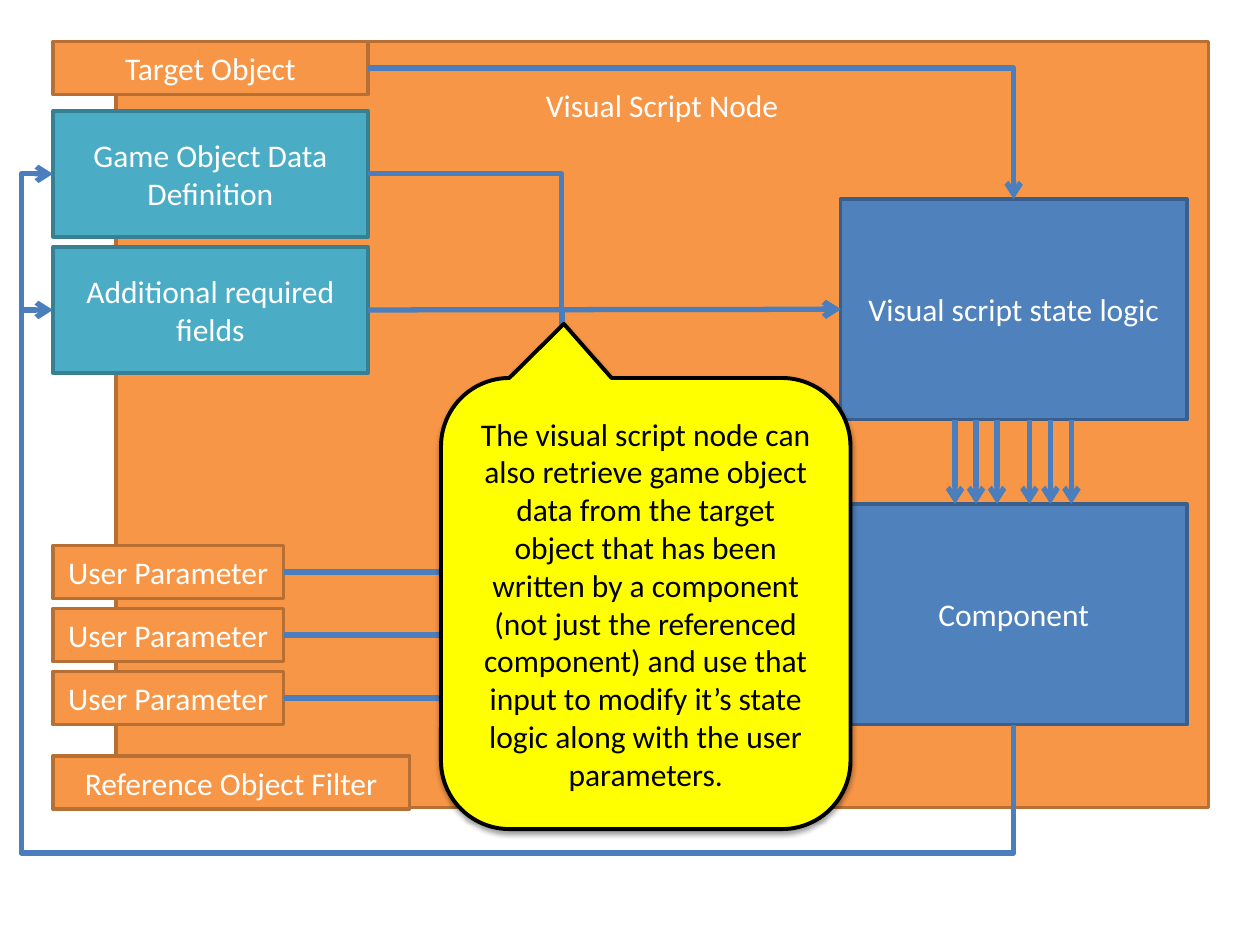
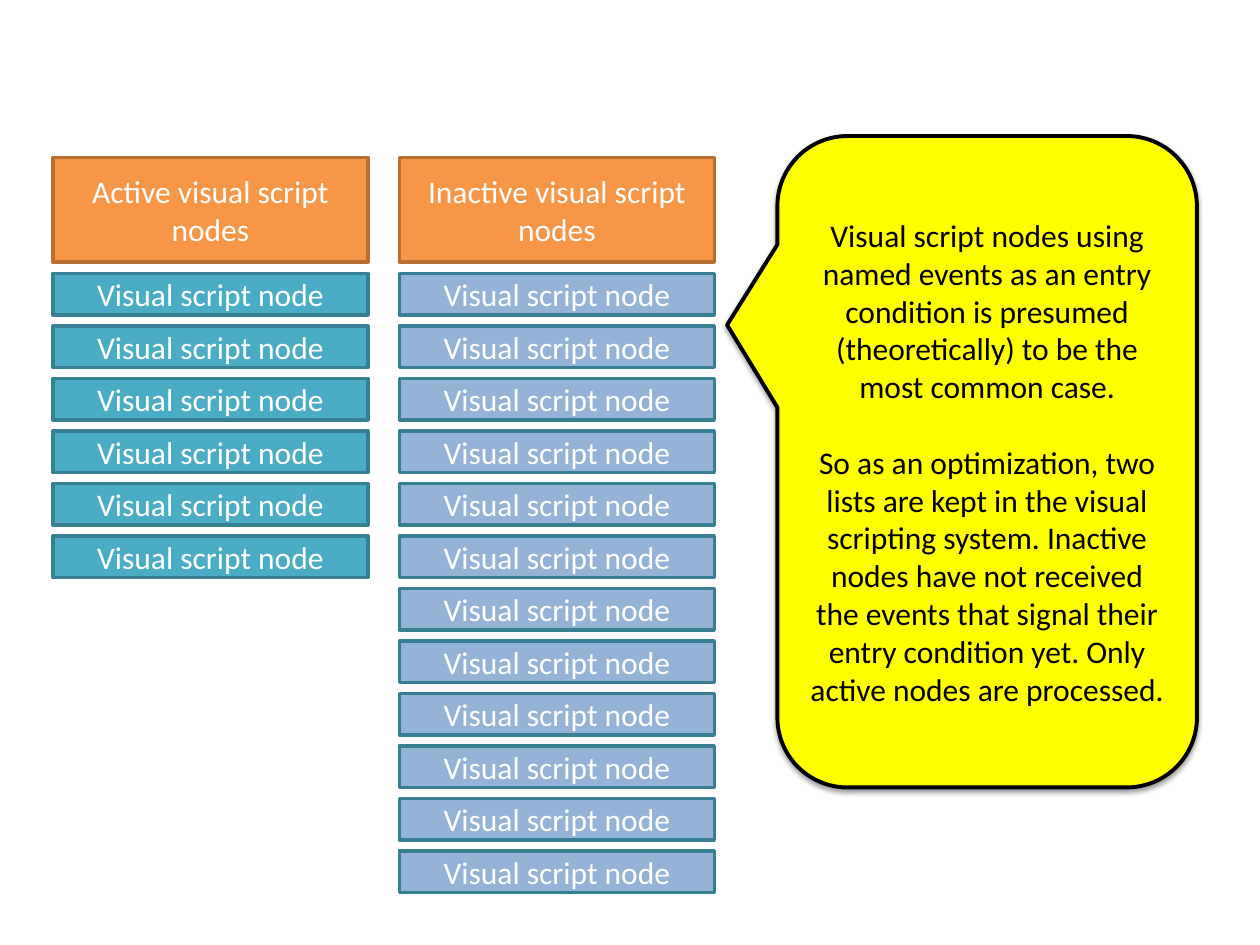
"""Build two slides on how visual script nodes read data and are scheduled."""
from pptx import Presentation
from pptx.dml.color import RGBColor
from pptx.enum.shapes import MSO_CONNECTOR, MSO_SHAPE
from pptx.enum.text import MSO_ANCHOR, PP_ALIGN
from pptx.oxml import parse_xml
from pptx.oxml.ns import nsdecls, qn
from pptx.oxml.xmlchemy import OxmlElement
from pptx.util import Inches, Pt

RECT = MSO_SHAPE.RECTANGLE
CALLOUT = MSO_SHAPE.ROUNDED_RECTANGULAR_CALLOUT
STRAIGHT, ELBOW = MSO_CONNECTOR.STRAIGHT, MSO_CONNECTOR.ELBOW
TOP, MIDDLE = MSO_ANCHOR.TOP, MSO_ANCHOR.MIDDLE
CENTER = PP_ALIGN.CENTER
TOP_SIDE, LEFT_SIDE, BOTTOM_SIDE, RIGHT_SIDE = range(4)

FONT, SIZE = "Calibri", 18
COLORS = {
    "orange": "F79646", "orange_edge": "B76F34",
    "teal": "4BACC6", "teal_edge": "377F92",
    "blue": "4F81BD", "blue_edge": "3A5F8C",
    "pale": "95B3D7", "arrow": "4B7EBC",
    "yellow": "FFFF00", "black": "000000", "white": "FFFFFF",
}
EDGES = {"orange": "orange_edge", "teal": "teal_edge", "blue": "blue_edge",
         "pale": "teal_edge", "yellow": "black"}
LEFT, BOX_W = 0.42, 2.5


def color(name):
    """Return the named colour."""
    return RGBColor.from_string(COLORS[name])


def write(sp, paragraphs, text_color, gap=0):
    """Fill a shape with centred paragraphs, with a gap between them."""
    tf = sp.text_frame
    tf.word_wrap = True
    tf.vertical_anchor = MIDDLE
    for i, text in enumerate(paragraphs):
        p = tf.add_paragraph() if i else tf.paragraphs[0]
        p.alignment = CENTER
        if i:
            p.space_before = Pt(gap)
        r = p.add_run()
        r.text = text
        r.font.name, r.font.size = FONT, Pt(SIZE)
        r.font.color.rgb = color(text_color)


def add_block(slide, kind, at, fill, weight):
    """Add a filled and outlined shape without a shadow."""
    sp = slide.shapes.add_shape(kind, *map(Inches, at))
    sp.shadow.inherit = False
    sp.fill.solid()
    sp.fill.fore_color.rgb = color(fill)
    sp.line.color.rgb = color(EDGES[fill])
    sp.line.width = Pt(weight)
    return sp


def add_box(slide, text, at, fill):
    """Add a labelled rectangle."""
    sp = add_block(slide, RECT, at, fill, 2)
    write(sp, [text], "white")
    return sp


def add_callout(slide, paragraphs, at, tip):
    """Add a yellow callout with a soft shadow, its tip relative to its centre."""
    sp = add_block(slide, CALLOUT, at, "yellow", 2.25)
    for i, value in enumerate((*tip, 0.167)):
        sp.adjustments[i] = value
    sp._element.spPr.find(qn("a:effectLst")).append(parse_xml(
        f'<a:outerShdw {nsdecls("a")} blurRad="40000" dist="20000" '
        'dir="5400000" rotWithShape="0"><a:srgbClr val="000000">'
        '<a:alpha val="38000"/></a:srgbClr></a:outerShdw>'))
    write(sp, paragraphs, "black", gap=21.6)


def style_arrow(c):
    """Give a connector its line, open arrowhead and no shadow."""
    c.line.color.rgb = color("arrow")
    c.line.width = Pt(3)
    tail = OxmlElement("a:tailEnd")
    tail.set("type", "arrow")
    c.line._get_or_add_ln().append(tail)
    c._element.spPr.append(OxmlElement("a:effectLst"))


def add_arrow(slide, x1, y1, x2, y2):
    """Add a straight arrow."""
    c = slide.shapes.add_connector(STRAIGHT, *map(Inches, (x1, y1, x2, y2)))
    style_arrow(c)
    return c


def join(c, start, end):
    """Join a connector to (shape, side) at each end."""
    c.begin_connect(*start)
    c.end_connect(*end)


def add_elbow(slide, start, end, preset="bentConnector3", bends=()):
    """Add a bent arrow between two (shape, side) ends."""
    c = slide.shapes.add_connector(ELBOW, 0, 0, 0, 0)
    join(c, start, end)
    geom = c._element.spPr.find(qn("a:prstGeom"))
    geom.set("prst", preset)
    guides = geom.find(qn("a:avLst"))
    for i, bend in enumerate(bends, 1):
        gd = OxmlElement("a:gd")
        gd.set("name", f"adj{i}")
        gd.set("fmla", f"val {round(bend * 100000)}")
        guides.append(gd)
    style_arrow(c)
    return c


def add_feedback(slide, source, target, drop=1.02, side=0.25):
    """Loop an arrow from below the source round to the target's left side."""
    c = add_elbow(slide, (source, BOTTOM_SIDE), (target, LEFT_SIDE))
    across, up = c.width, c.height
    mid_x, mid_y = c.left + across // 2, c.top + up // 2
    c._element.getparent().remove(c._element)
    c = add_elbow(slide, (source, BOTTOM_SIDE), (target, LEFT_SIDE),
                  "bentConnector4",
                  (-Inches(drop) / up, 1 + Inches(side) / across))
    c.left, c.top = mid_x - up // 2, mid_y - across // 2
    c.width, c.height = up, across
    xfrm = c._element.spPr.find(qn("a:xfrm"))
    xfrm.set("rot", "5400000")
    xfrm.set("flipH", "1")
    xfrm.set("flipV", "0")


def build_data_flow(slide):
    """Show how data flows through a visual script node."""
    node = add_box(slide, "Visual Script Node", (0.92, 0.33, 8.67, 6.08), "orange")
    node.text_frame.vertical_anchor = TOP
    node.text_frame.margin_top = Inches(0.35)
    target = add_box(slide, "Target Object", (LEFT, 0.33, BOX_W, 0.42), "orange")
    component = add_box(slide, "Component", (6.67, 4, 2.75, 1.75), "blue")
    logic = add_box(slide, "Visual script state logic", (6.67, 1.58, 2.75, 1.75), "blue")
    add_box(slide, "Reference Object Filter", (LEFT, 6, 2.83, 0.42), "orange")
    definition = add_box(slide, "Game Object Data Definition", (LEFT, 0.88, BOX_W, 1), "teal")
    fields = add_box(slide, "Additional required fields", (LEFT, 1.96, BOX_W, 1), "teal")

    add_elbow(slide, (target, RIGHT_SIDE), (logic, TOP_SIDE), "bentConnector2")
    for i in range(3):
        parameter = add_box(slide, "User Parameter",
                            (LEFT, 4.33 + 0.5 * i, 1.83, 0.42), "orange")
        add_elbow(slide, (parameter, RIGHT_SIDE), (logic, LEFT_SIDE), bends=(0.5,))
    add_elbow(slide, (definition, RIGHT_SIDE), (logic, LEFT_SIDE), bends=(0.41,))
    join(add_arrow(slide, 2.92, 2.46, 6.67, 2.46),
         (fields, RIGHT_SIDE), (logic, LEFT_SIDE))
    for first_x in (7.58, 8.17):
        for i in range(3):
            x = first_x + i / 6
            add_arrow(slide, x, 3.33, x, 4)
    for box in (definition, fields):
        add_feedback(slide, component, box)

    add_callout(slide, [
        "The visual script node can also retrieve game object data from the "
        "target object that has been written by a component (not just the "
        "referenced component) and use that input to modify it’s state logic "
        "along with the user parameters."], (3.5, 3, 3.25, 3.58), (-0.2, -0.62))


def add_node_list(slide, heading, left, count, fill):
    """Add a heading with a column of node boxes below it."""
    add_box(slide, heading, (left, 1.25, BOX_W, 0.83), "orange")
    for i in range(count):
        add_box(slide, "Visual script node",
                (left, 2.17 + i * 5 / 12, BOX_W, 0.33), fill)


def build_node_lists(slide):
    """Show the lists of active and inactive nodes."""
    add_node_list(slide, "Active visual script nodes", LEFT, 6, "teal")
    add_node_list(slide, "Inactive visual script nodes", 3.17, 12, "pale")
    add_callout(slide, [
        "Visual script nodes using named events as an entry condition is "
        "presumed (theoretically) to be the most common case.",
        "So as an optimization, two lists are kept in the visual scripting "
        "system. Inactive nodes have not received the events that signal their "
        "entry condition yet. Only active nodes are processed."],
        (6.17, 1.08, 3.33, 5.17), (-0.62, -0.21))


def main():
    """Build and save the presentation."""
    prs = Presentation()
    prs.slide_width, prs.slide_height = Inches(10), Inches(7.5)
    blank = prs.slide_layouts[6]
    for build in (build_data_flow, build_node_lists):
        build(prs.slides.add_slide(blank))
    prs.save("out.pptx")


if __name__ == "__main__":
    main()
